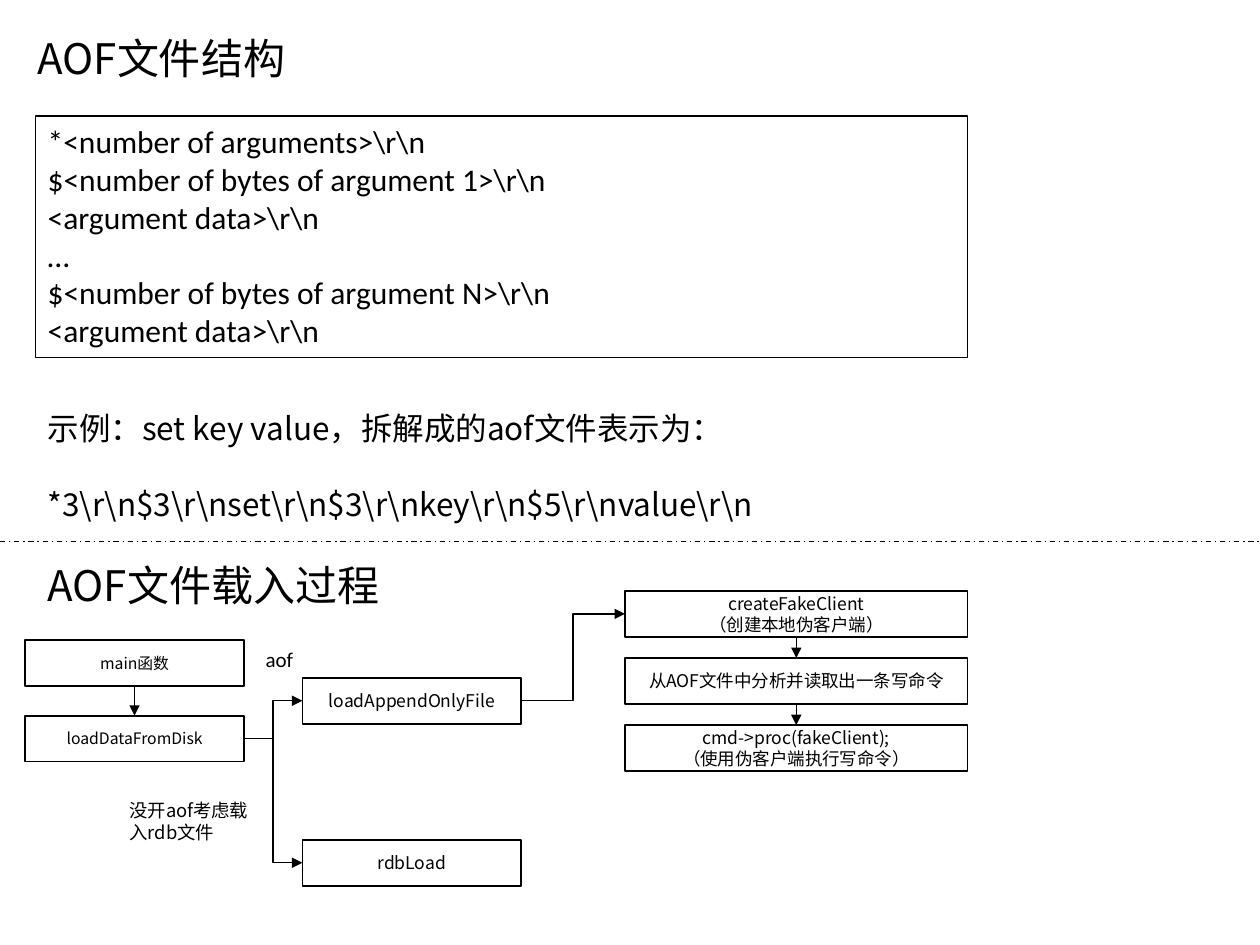
from lxml import etree
from pptx import Presentation
from pptx.dml.color import RGBColor
from pptx.enum.dml import MSO_LINE
from pptx.enum.shapes import MSO_CONNECTOR, MSO_SHAPE
from pptx.enum.text import MSO_ANCHOR, PP_ALIGN
from pptx.oxml.ns import qn
from pptx.util import Inches, Pt

RECT = MSO_SHAPE.RECTANGLE
STRAIGHT, ELBOW = MSO_CONNECTOR.STRAIGHT, MSO_CONNECTOR.ELBOW
LEFT, CENTER = PP_ALIGN.LEFT, PP_ALIGN.CENTER
TOP, MIDDLE = MSO_ANCHOR.TOP, MSO_ANCHOR.MIDDLE
DASH_DOT = MSO_LINE.DASH_DOT
SIDE_TOP, SIDE_LEFT, SIDE_BOTTOM, SIDE_RIGHT = range(4)

COLS, ROWS = 100, 75
UNIT = Inches(0.1)
CJK, LATIN = "Noto Sans CJK SC", "Calibri"
BLACK, WHITE = "000000", "FFFFFF"
LEADING = 1.2


def rgb(value):
    return RGBColor.from_string(value)


def grid(*cells):
    return [round(c * UNIT) for c in cells]


def within(box, col, row, width, height):
    return box[0] + col, box[1] + row, width, height


def write(sp, lines, size, font=CJK, align=LEFT, anchor=TOP, gap=0):
    tf = sp.text_frame
    for name, value in {"word_wrap": True, "vertical_anchor": anchor}.items():
        setattr(tf, name, value)
    for i, line in enumerate(lines):
        p = tf.paragraphs[0] if i == 0 else tf.add_paragraph()
        spacing = {
            "alignment": align,
            "line_spacing": Pt(size * LEADING),
            "space_before": Pt(gap if i else 0),
        }
        for name, value in spacing.items():
            setattr(p, name, value)
        r = p.add_run()
        r.text = line
        for name, value in {"size": Pt(size), "name": font}.items():
            setattr(r.font, name, value)
        r.font.color.rgb = rgb(BLACK)
        ea = etree.SubElement(r.font._element, qn("a:ea"))
        ea.set("typeface", CJK)


def add_text(s, box, lines, size, **fmt):
    sp = s.shapes.add_textbox(*grid(*box))
    write(sp, lines, size, **fmt)


def add_box(s, box, lines, size, fill=WHITE, weight=1, **fmt):
    sp = s.shapes.add_shape(RECT, *grid(*box))
    sp.shadow.inherit = False
    if fill:
        sp.fill.solid()
        sp.fill.fore_color.rgb = rgb(fill)
    else:
        sp.fill.background()
    sp.line.color.rgb = rgb(BLACK)
    sp.line.width = Pt(weight)
    write(sp, lines, size, **fmt)
    return sp


def add_line(s, kind, start, end):
    cxn = s.shapes.add_connector(kind, *grid(*start, *end))
    cxn.line.color.rgb = rgb(BLACK)
    cxn.line.width = Pt(0.75)
    etree.SubElement(cxn._element.spPr, qn("a:effectLst"))
    return cxn


def add_arrow(s, kind, source, source_side, target, target_side):
    cxn = add_line(s, kind, (0, 0), (1, 1))
    cxn.begin_connect(source, source_side)
    cxn.end_connect(target, target_side)
    ln = cxn.line._get_or_add_ln()
    etree.SubElement(ln, qn("a:tailEnd")).set("type", "triangle")


def structure_section(s, box):
    add_text(s, within(box, 2, 2.1, 29.9, 5), ["AOF文件结构"], 24)
    syntax = [
        "*<number of arguments>\\r\\n",
        "$<number of bytes of argument 1>\\r\\n",
        "<argument data>\\r\\n",
        "…",
        "$<number of bytes of argument N>\\r\\n",
        "<argument data>\\r\\n",
    ]
    add_box(s, within(box, 2.8, 9.2, 74, 19.2), syntax, 18,
            fill=None, weight=0.75, font=LATIN)
    example = [
        "示例：set key value，拆解成的aof文件表示为：",
        "*3\\r\\n$3\\r\\nset\\r\\n$3\\r\\nkey\\r\\n$5\\r\\nvalue\\r\\n",
    ]
    add_text(s, within(box, 2.8, 32, 87.4, 10.1), example, 18, gap=18 * LEADING)


def divider(s, row):
    add_line(s, STRAIGHT, (0, row), (COLS, row)).line.dash_style = DASH_DOT


def replay_steps(s, box):
    steps = [
        ["createFakeClient", "（创建本地伪客户端）"],
        ["从AOF文件中分析并读取出一条写命令"],
        ["cmd->proc(fakeClient);", "（使用伪客户端执行写命令）"],
    ]
    height = 3.65
    pitch = (box[3] - height) / (len(steps) - 1)
    boxes = [
        add_box(s, within(box, 0, i * pitch, box[2], height), lines, 10,
                align=CENTER, anchor=MIDDLE)
        for i, lines in enumerate(steps)
    ]
    for upper, lower in zip(boxes, boxes[1:]):
        add_arrow(s, STRAIGHT, upper, SIDE_BOTTOM, lower, SIDE_TOP)
    return boxes[0]


def load_section(s, box):
    add_text(s, within(box, 2.8, 0.9, 29.9, 5), ["AOF文件载入过程"], 24)
    calls = [
        ("main函数", 2, 7.8, 9),
        ("loadDataFromDisk", 2, 13.8, 9),
        ("loadAppendOnlyFile", 24, 10.8, 10),
        ("rdbLoad", 24, 23.65, 10),
    ]
    main, disk, aof, rdb = [
        add_box(s, within(box, col, row, 17.35, 3.65), [name], size,
                align=CENTER, anchor=MIDDLE)
        for name, col, row, size in calls
    ]
    first_step = replay_steps(s, within(box, 49.6, 3.9, 27.2, 14.3))
    add_arrow(s, STRAIGHT, main, SIDE_BOTTOM, disk, SIDE_TOP)
    for source, target in ((disk, aof), (disk, rdb), (aof, first_step)):
        add_arrow(s, ELBOW, source, SIDE_RIGHT, target, SIDE_LEFT)
    add_text(s, within(box, 20.1, 7.8, 5.8, 3), ["aof"], 12, font=LATIN)
    add_text(s, within(box, 9.3, 19.9, 12.1, 4.5), ["没开aof考虑载入rdb文件"], 10.5)


def main():
    prs = Presentation()
    prs.slide_width, prs.slide_height = grid(COLS, ROWS)
    s = prs.slides.add_slide(prs.slide_layouts[6])
    split = 43
    structure_section(s, (0, 0, COLS, split))
    divider(s, split)
    load_section(s, (0, split, COLS, ROWS - split))
    prs.save("out.pptx")


if __name__ == "__main__":
    main()
